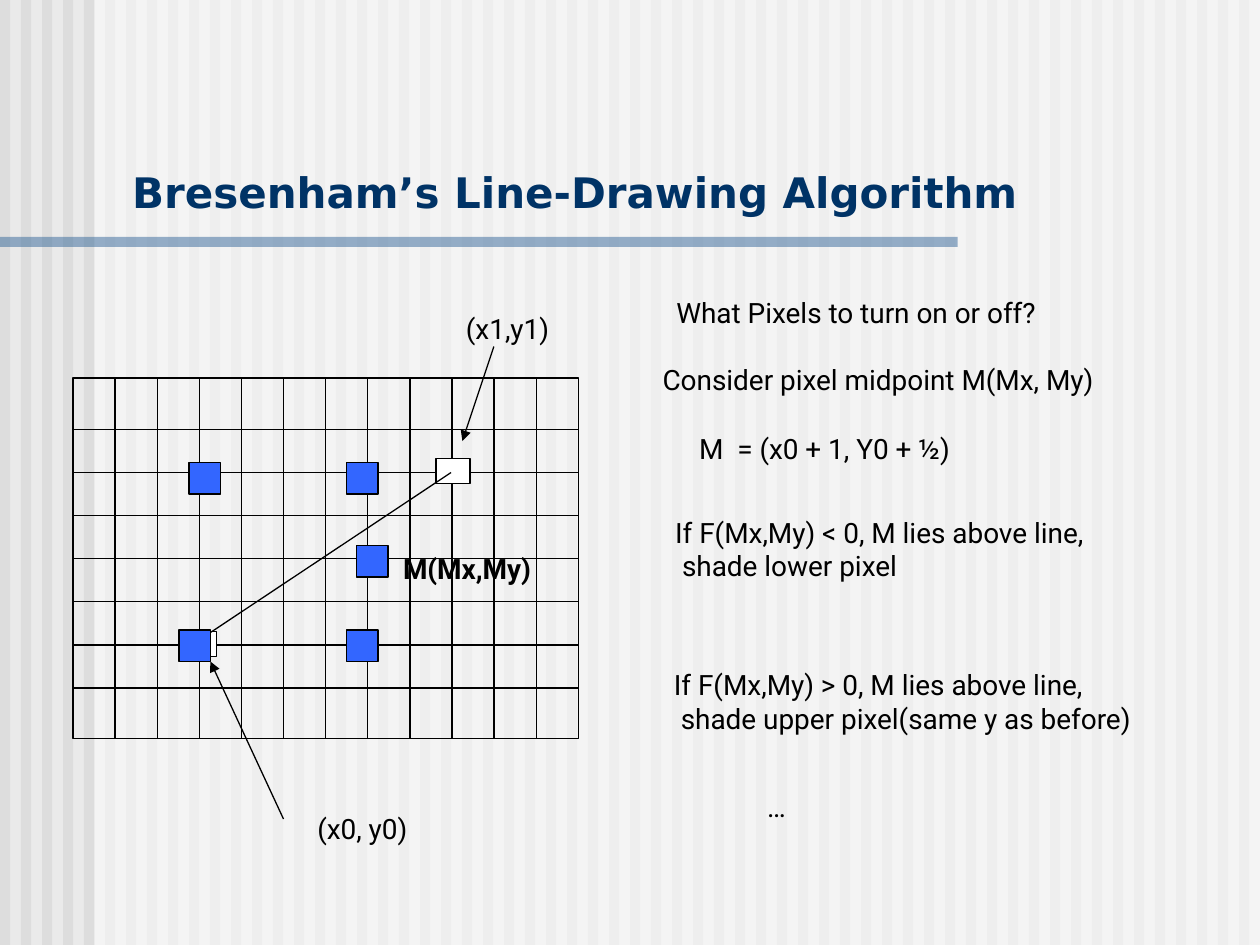
from lxml import etree
from pptx import Presentation
from pptx import util as u
from pptx.dml.color import RGBColor
from pptx.enum import shapes, text
from pptx.oxml.ns import qn

BLACK, WHITE, BLUE, NAVY = "000000", "FFFFFF", "3366FF", "003366"
STRIPE_COUNT, STRIPE_STEP = 60, 1 / 6
GRID_LEFT, GRID_TOP, GRID_WIDTH, GRID_HEIGHT = 0.58, 3, 4.01, 2.86
COLUMNS, ROW_LINES = 12, 7
FIRST_ROW, LAST_ROW = 3.41, 5.46


def color(value):
    return RGBColor.from_string(value)


def add_box(slide, left, top, width, height, fill=None, line=None, alpha=None):
    """Rectangle with optional fill, outline and opacity in percent."""
    shape = slide.shapes.add_shape(
        shapes.MSO_SHAPE.RECTANGLE, *map(u.Inches, (left, top, width, height)))
    shape.shadow.inherit = False
    if fill:
        shape.fill.solid()
        shape.fill.fore_color.rgb = color(fill)
    else:
        shape.fill.background()
    if line:
        shape.line.color.rgb = color(line)
        shape.line.width = u.Pt(0.75)
    else:
        shape.line.fill.background()
    if alpha:
        fill_color = shape._element.spPr.find(qn("a:solidFill"))[0]
        etree.SubElement(fill_color, qn("a:alpha"), val=str(alpha * 1000))
    return shape


def add_line(slide, start, end, arrow=False):
    """Thin black line, with an arrowhead at its end if asked."""
    line = slide.shapes.add_connector(
        shapes.MSO_CONNECTOR.STRAIGHT, *map(u.Inches, (*start, *end)))
    line.line.color.rgb = color(BLACK)
    line.line.width = u.Pt(0.75)
    if arrow:
        etree.SubElement(line.line._get_or_add_ln(), qn("a:tailEnd"), type="triangle")
    etree.SubElement(line._element.spPr, qn("a:effectLst"))
    return line


def add_text(slide, content, left, top, width, height=0.37, size=16,
             font="Roboto", fill=BLACK, bold=False, wrap=False,
             anchor=text.MSO_ANCHOR.TOP):
    """Text box; each line of the content becomes a paragraph."""
    box = slide.shapes.add_textbox(*map(u.Inches, (left, top, width, height)))
    frame = box.text_frame
    frame.word_wrap = wrap
    frame.vertical_anchor = anchor
    frame.text = content
    for paragraph in frame.paragraphs:
        for run in paragraph.runs:
            run.font.name = font
            run.font.size = u.Pt(size)
            run.font.bold = bold
            run.font.color.rgb = color(fill)


def add_backdrop(slide):
    slide.background.fill.solid()
    slide.background.fill.fore_color.rgb = color("EAEAEA")
    for i in range(STRIPE_COUNT):
        add_box(slide, i * STRIPE_STEP, 0, 0.08, 7.5, fill="DDDDDD")
    add_box(slide, 0.75, 0, 9.25, 7.5, fill=WHITE, alpha=50)
    add_box(slide, 0, 1.88, 7.6, 0.08, fill="336699", alpha=50)


def add_grid(slide):
    frame = add_box(slide, GRID_LEFT, GRID_TOP, GRID_WIDTH, GRID_HEIGHT, line=BLACK)
    right, bottom = GRID_LEFT + GRID_WIDTH, GRID_TOP + GRID_HEIGHT

    # Vertical lines
    for i in range(1, COLUMNS):
        x = GRID_LEFT + i * GRID_WIDTH / COLUMNS
        line = add_line(slide, (x, GRID_TOP), (x, bottom))
        if 2 * i == COLUMNS:
            line.begin_connect(frame, 0)
            line.end_connect(frame, 2)

    # Horizontal lines, with taller outer rows
    for i in range(ROW_LINES):
        y = FIRST_ROW + i * (LAST_ROW - FIRST_ROW) / (ROW_LINES - 1)
        line = add_line(slide, (GRID_LEFT, y), (right, y))
        if 2 * i == ROW_LINES - 1:
            line.begin_connect(frame, 1)
            line.end_connect(frame, 3)

    # Endpoint pixels
    for left, top in ((1.45, 5.01), (3.46, 3.64)):
        add_box(slide, left, top, 0.27, 0.2, fill=WHITE, line=BLACK)


def add_diagram(slide):
    add_grid(slide)
    add_line(slide, (1.58, 5.08), (3.58, 3.75))
    for left, top in ((1.42, 5), (1.5, 3.67), (2.75, 5), (2.75, 3.67), (2.83, 4.33)):
        add_box(slide, left, top, 0.25, 0.25, fill=BLUE, line=BLACK)

    # Labels and their arrows
    add_line(slide, (2.25, 6.5), (1.67, 5.25), arrow=True)
    add_line(slide, (3.92, 2.75), (3.67, 3.5), arrow=True)
    add_text(slide, "(x0, y0)", 2.42, 6.39, 0.93)
    add_text(slide, "(x1,y1)", 3.6, 2.42, 0.87)
    add_text(slide, "M(Mx,My)", 3.1, 4.33, 1.29, bold=True)


def add_explanation(slide):
    add_text(slide, "What Pixels to turn on or off?", 5.27, 2.3, 3.23)
    add_text(slide, "Consider pixel midpoint M(Mx, My)", 5.16, 2.83, 3.82)
    add_text(slide, "M  = (x0 + 1, Y0 + ½)", 5.45, 3.38, 2.28)
    add_text(slide, "If F(Mx,My) < 0, M lies above line,\n shade lower pixel",
             5.26, 4.04, 3.62, 0.64)
    add_text(slide, "If F(Mx,My) > 0, M lies above line,\n"
             " shade upper pixel(same y as before)", 5.25, 5.25, 4.02, 0.64)
    add_text(slide, "…", 5.99, 6.22, 0.37)


def main():
    presentation = Presentation()
    presentation.slide_width = u.Inches(10)
    presentation.slide_height = u.Inches(7.5)
    slide = presentation.slides.add_slide(presentation.slide_layouts[6])

    add_backdrop(slide)
    add_text(slide, "Bresenham’s Line-Drawing Algorithm", 0.95, 1.27, 8.93, 0.5,
             size=24, font="DejaVu Sans", fill=NAVY, bold=True, wrap=True,
             anchor=text.MSO_ANCHOR.BOTTOM)
    add_diagram(slide)
    add_explanation(slide)
    presentation.save("out.pptx")


if __name__ == "__main__":
    main()
